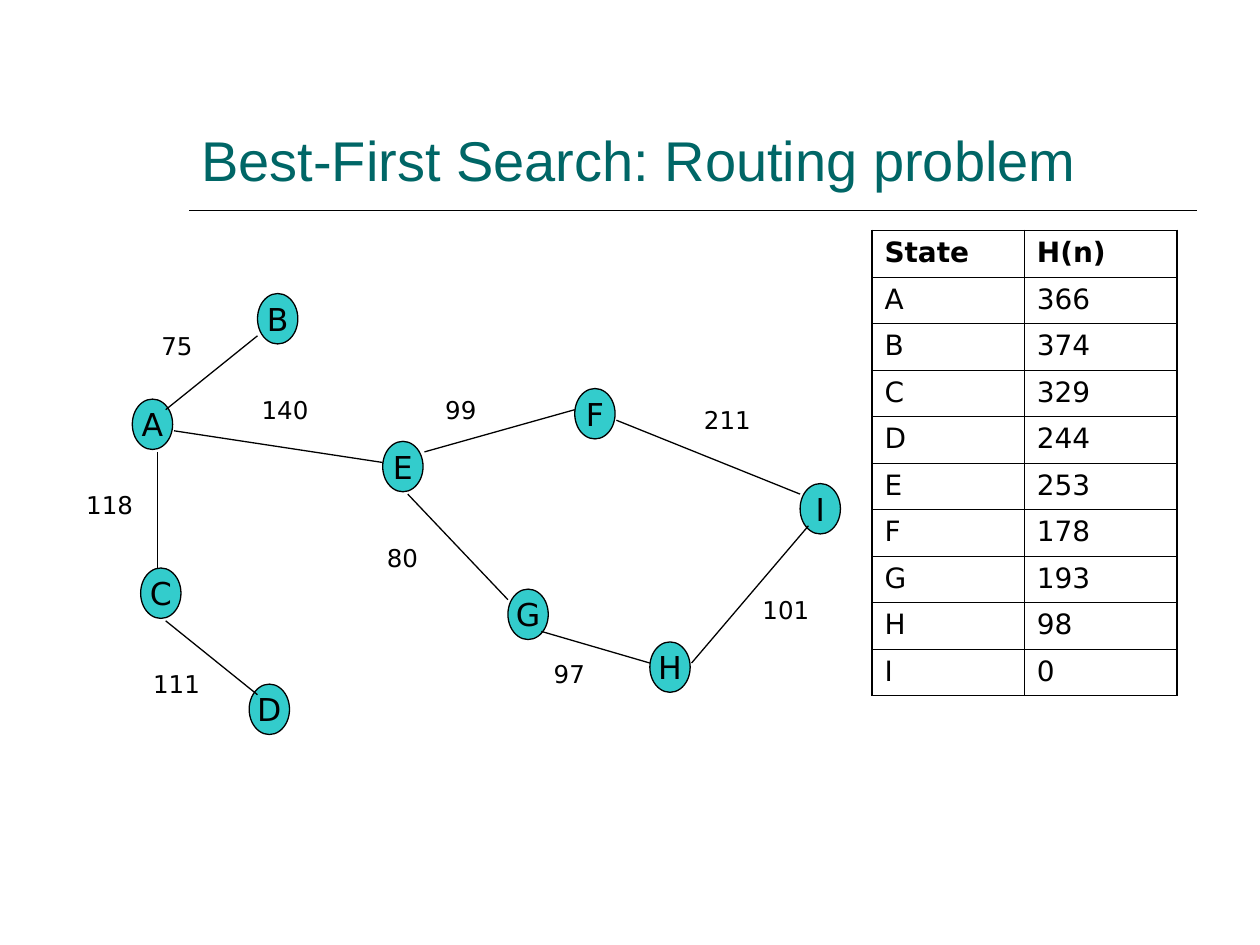
from dataclasses import dataclass

from lxml import etree
from pptx import Presentation
from pptx import util as u
from pptx.dml.color import RGBColor
from pptx.enum import shapes, text
from pptx.oxml.ns import qn


@dataclass(frozen=True)
class Theme:
    ink: str = "000000"
    title: str = "006666"
    node: str = "33CCCC"
    title_font: str = "Arial"
    body_font: str = "DejaVu Sans"
    title_size: int = 32
    node_size: int = 18
    table_size: int = 16
    cost_size: int = 14
    rule_line: float = 1
    graph_line: float = 0.75
    outer_border: float = 1.08
    inner_border: float = 0.45


THEME = Theme()

# The graph sits on a fine grid: node A is in column 0, node B in row 0.
GRAPH_LEFT, GRAPH_TOP = 1.05, 2.33
COLUMN, ROW = 5.3 / 80, 3.1 / 37
NODE_WIDTH, NODE_HEIGHT = 0.32, 0.4
COST_HEIGHT = 4 * ROW

NODES = {"A": (0, 10), "C": (1, 26), "B": (15, 0), "E": (30, 14), "F": (53, 9),
         "G": (45, 28), "H": (62, 33), "I": (80, 18), "D": (14, 37)}

# Road start, road end, cost, cost position, cost width in columns
ROADS = [
    ((4, 11), (15, 4), "75", (2, 3), 7),
    ((3, 15), (3, 26), "118", (-7, 18), 9),
    ((4, 31), (15, 38), "111", (1, 35), 10),
    ((5, 13), (30, 16), "140", (14, 9), 10),
    ((35, 15), (53, 11), "99", (36, 9), 10),
    ((33, 19), (45, 29), "80", (29, 23), 10),
    ((49, 32), (62, 35), "97", (49, 34), 10),
    ((67, 35), (81, 22), "101", (74, 28), 10),
    ((58, 12), (80, 19), "211", (67, 10), 10),
]

HEURISTIC = [("State", "H(n)"), ("A", "366"), ("B", "374"), ("C", "329"),
             ("D", "244"), ("E", "253"), ("F", "178"), ("G", "193"),
             ("H", "98"), ("I", "0")]


def on_grid(column, row):
    return u.Inches(GRAPH_LEFT + column * COLUMN), u.Inches(GRAPH_TOP + row * ROW)


def write(frame, words, size, color=THEME.ink, font=THEME.body_font, bold=False):
    paragraph = frame.paragraphs[0]
    run = paragraph.add_run()
    run.text = words
    for name, value in {"size": u.Pt(size), "name": font, "bold": bold}.items():
        setattr(run.font, name, value)
    run.font.color.rgb = RGBColor.from_string(color)
    return paragraph


def add_line(slide, start, end, width):
    line = slide.shapes.add_connector(shapes.MSO_CONNECTOR.STRAIGHT, *start, *end)
    line.line.color.rgb = RGBColor.from_string(THEME.ink)
    line.line.width = u.Pt(width)
    etree.SubElement(line._element.spPr, qn("a:effectLst"))


def add_title(slide, words):
    left, right, rule = u.Inches(1.5), u.Inches(9.5), u.Inches(1.67)
    add_line(slide, (left, rule), (right, rule), THEME.rule_line)
    box = slide.shapes.add_textbox(left, u.Inches(0.33), right - left, u.Inches(1.25))
    box.text_frame.word_wrap = True
    box.text_frame.vertical_anchor = text.MSO_ANCHOR.BOTTOM
    write(box.text_frame, words, THEME.title_size, THEME.title, THEME.title_font)


def add_node(slide, state, position):
    node = slide.shapes.add_shape(shapes.MSO_SHAPE.OVAL, *on_grid(*position),
                                  u.Inches(NODE_WIDTH), u.Inches(NODE_HEIGHT))
    node.shadow.inherit = False
    node.fill.solid()
    node.fill.fore_color.rgb = RGBColor.from_string(THEME.node)
    node.line.color.rgb = RGBColor.from_string(THEME.ink)
    node.line.width = u.Pt(THEME.graph_line)
    node.text_frame.word_wrap = False
    node.text_frame.vertical_anchor = text.MSO_ANCHOR.MIDDLE
    write(node.text_frame, state, THEME.node_size).alignment = text.PP_ALIGN.CENTER


def add_cost(slide, cost, position, columns):
    label = slide.shapes.add_textbox(*on_grid(*position), u.Inches(columns * COLUMN),
                                     u.Inches(COST_HEIGHT))
    label.text_frame.word_wrap = True
    write(label.text_frame, cost, THEME.cost_size)


def set_borders(cell, outer_sides):
    """Rule all four sides of a cell, thicker where the side is on the table's edge."""
    properties = cell._tc.get_or_add_tcPr()
    for index, side in enumerate("LRTB"):
        width = THEME.outer_border if side in outer_sides else THEME.inner_border
        border = etree.Element(qn(f"a:ln{side}"), w=str(u.Pt(width)))
        fill = etree.SubElement(border, qn("a:solidFill"))
        etree.SubElement(fill, qn("a:srgbClr"), val=THEME.ink)
        properties.insert(index, border)


def add_heuristic_table(slide, rows):
    last_row, last_column = len(rows) - 1, len(rows[0]) - 1
    table = slide.shapes.add_table(len(rows), len(rows[0]), u.Inches(6.92), u.Inches(1.83),
                                   u.Inches(2.42), u.Inches(3.69)).table
    table.first_row = table.horz_banding = False
    for r, row in enumerate(rows):
        for c, value in enumerate(row):
            cell = table.cell(r, c)
            cell.fill.background()
            write(cell.text_frame, value, THEME.table_size, bold=r == 0)
            edges = {"L": c == 0, "R": c == last_column, "T": r == 0, "B": r == last_row}
            set_borders(cell, [side for side, outer in edges.items() if outer])


def main():
    deck = Presentation()
    deck.slide_width, deck.slide_height = u.Inches(10), u.Inches(7.5)
    slide = deck.slides.add_slide(deck.slide_layouts[6])
    add_title(slide, "Best-First Search: Routing problem")
    for state, position in NODES.items():
        add_node(slide, state, position)
    for start, end, cost, position, columns in ROADS:
        add_line(slide, on_grid(*start), on_grid(*end), THEME.graph_line)
        add_cost(slide, cost, position, columns)
    add_heuristic_table(slide, HEURISTIC)
    deck.save("out.pptx")


if __name__ == "__main__":
    main()
